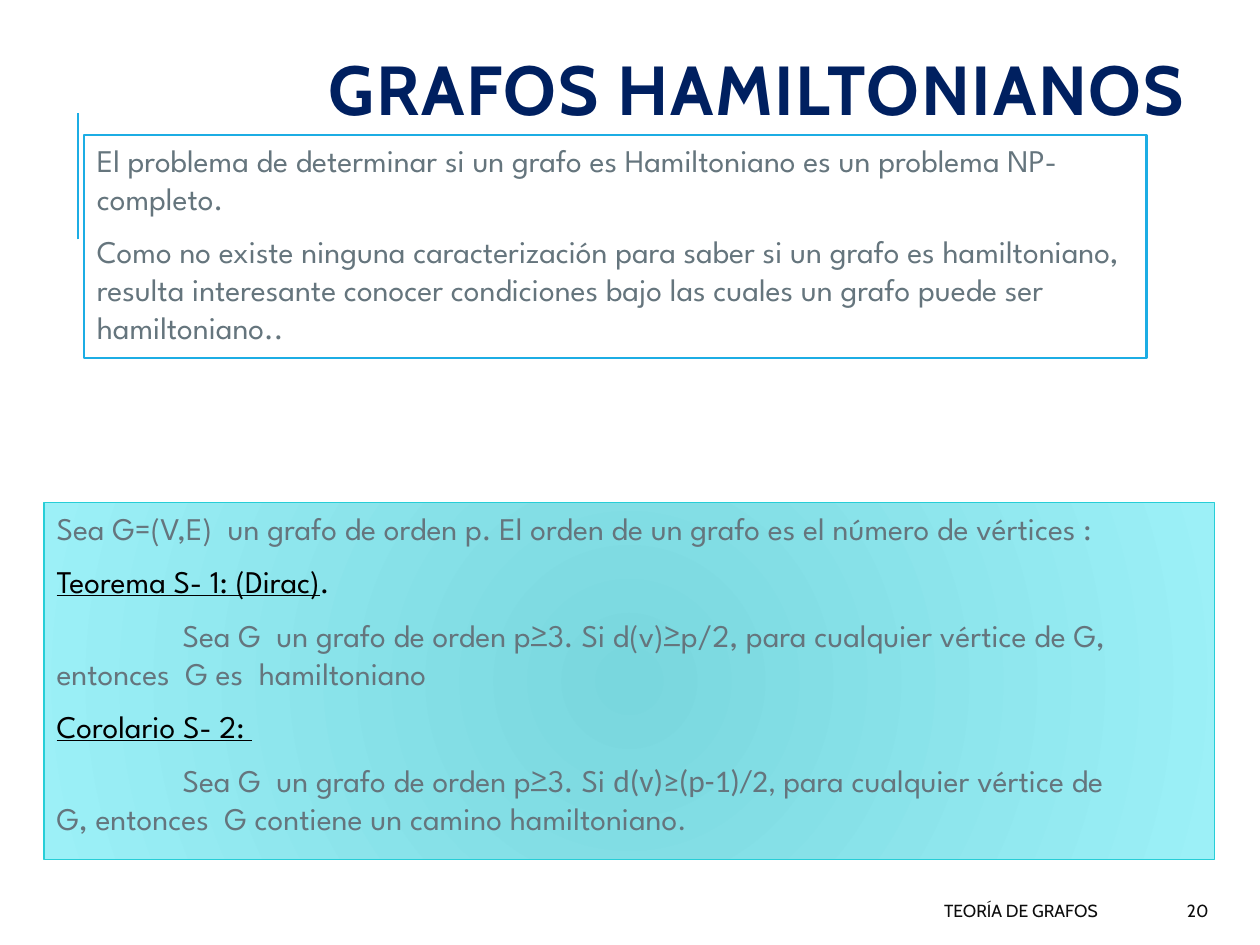
import lxml.etree
import pptx
import pptx.dml.color
import pptx.enum.shapes
import pptx.enum.text
import pptx.oxml
import pptx.oxml.ns
import pptx.util

RGB = pptx.dml.color.RGBColor
NAVY = RGB(0x00, 0x20, 0x60)
BLUE = RGB(0x1C, 0xAD, 0xE4)
TEAL = RGB(0x27, 0xCE, 0xD7)
DEEP_AQUA = RGB(0x79, 0xD7, 0xDE)
PALE_AQUA = RGB(0x9C, 0xF0, 0xF7)
SLATE = RGB(0x65, 0x75, 0x7D)
INK = RGB(0x0D, 0x0D, 0x0D)
BLACK = RGB(0x00, 0x00, 0x00)
WHITE = RGB(0xFF, 0xFF, 0xFF)

Inches, Pt = pptx.util.Inches, pptx.util.Pt
ANCHOR = pptx.enum.text.MSO_ANCHOR
ALIGN = pptx.enum.text.PP_ALIGN
qn = pptx.oxml.ns.qn

BODY = {"name": "League Spartan", "size": Pt(18), "color": SLATE}
HEADING = BODY | {"color": BLACK, "underline": True}
FORMULA = BODY | {"name": "Calibri"}
TITLE = {"name": "Cabin", "size": Pt(39.6), "color": NAVY, "bold": True}
FOOTER = {"name": "Cabin", "size": Pt(10), "color": INK}


def write(shape, paragraphs, anchor=ANCHOR.TOP, align=ALIGN.LEFT):
    """Fill a shape with paragraphs, each a list of (text, format) runs."""
    frame = shape.text_frame
    frame.word_wrap = True
    frame.vertical_anchor = anchor
    for number, runs in enumerate(paragraphs):
        paragraph = frame.add_paragraph() if number else frame.paragraphs[0]
        paragraph.alignment = align
        paragraph.space_before = Pt(9 if number else 0)
        paragraph._p.get_or_add_pPr().set("defTabSz", str(Inches(1)))
        for text, formats in runs:
            run = paragraph.add_run()
            run.text = text
            for key, value in formats.items():
                if key == "color":
                    run.font.color.rgb = value
                else:
                    setattr(run.font, key, value)


def add_panel(left, top, width, height, line_color, line_width):
    panel = slide.shapes.add_shape(
        pptx.enum.shapes.MSO_SHAPE.RECTANGLE,
        Inches(left), Inches(top), Inches(width), Inches(height))
    panel.shadow.inherit = False
    panel.line.color.rgb = line_color
    panel.line.width = Pt(line_width)
    return panel


presentation = pptx.Presentation()
presentation.slide_width = Inches(10)
presentation.slide_height = Inches(7.5)
slide = presentation.slides.add_slide(presentation.slide_layouts[6])

accent = slide.shapes.add_connector(
    pptx.enum.shapes.MSO_CONNECTOR.STRAIGHT,
    Inches(0.62), Inches(1.9), Inches(0.62), Inches(0.9))
accent.line.color.rgb = BLUE
accent.line.width = Pt(1.5)
lxml.etree.SubElement(accent._element.spPr, qn("a:effectLst"))

# Title, page number and footer all sit flush right
for text, formats, anchor, box in [
    ("GRAFOS HAMILTONIANOS", TITLE, ANCHOR.BOTTOM, (0.5, 0.39, 9, 0.68)),
    ("20", FOOTER, ANCHOR.MIDDLE, (8.89, 7.08, 0.8, 0.3)),
    ("TEORÍA DE GRAFOS", FOOTER, ANCHOR.MIDDLE, (3.97, 7.08, 4.84, 0.3)),
]:
    label = slide.shapes.add_textbox(*map(Inches, box))
    write(label, [[(text, formats)]], anchor, ALIGN.RIGHT)
    if formats is TITLE:
        heading = label.text_frame.paragraphs[0]
        heading.line_spacing = 0.8
        heading.runs[0]._r.get_or_add_rPr().set("spc", "100")

theorems = add_panel(0.35, 3.99, 9.29, 2.83, TEAL, 0.75)
theorems.fill.gradient()
for stop, color in zip(theorems.fill.gradient_stops, (DEEP_AQUA, PALE_AQUA)):
    stop.color.rgb = color
gradient = theorems._element.spPr.find(qn("a:gradFill"))
radial = pptx.oxml.parse_xml(
    f'<a:path {pptx.oxml.ns.nsdecls("a")} path="circle">'
    '<a:fillToRect l="50000" t="50000" r="50000" b="50000"/></a:path>')
gradient.replace(gradient.find(qn("a:lin")), radial)
write(theorems, [
    [("Sea G=(V,E)  un grafo de orden p. El orden de un grafo es el número de vértices :", BODY)],
    [("Teorema S- 1: (Dirac)", HEADING), (".", HEADING | {"underline": False})],
    [("\tSea G  un grafo de orden p≥3. Si d(v)≥p/2, para cualquier vértice de G, "
      "\tentonces  G es  hamiltoniano", BODY)],
    [("Corolario S- 2: ", HEADING)],
    [("\tSea G  un grafo de orden p≥3. Si ", BODY),
     ("d(v)≥(p-1)/2, ", FORMULA),
     ("para cualquier vértice de \tG, entonces  G contiene un camino hamiltoniano", BODY),
     (".", FORMULA)],
])

problem = add_panel(0.67, 1.07, 8.43, 1.77, BLUE, 1.25)
problem.fill.solid()
problem.fill.fore_color.rgb = WHITE
write(problem, [
    [("El problema de determinar si un grafo es Hamiltoniano es un problema NP-completo.", BODY)],
    [("Como no existe ninguna caracterización para saber si un grafo es hamiltoniano, "
      "resulta interesante conocer condiciones bajo las cuales un grafo puede ser "
      "hamiltoniano..", BODY)],
])

presentation.save("out.pptx")
